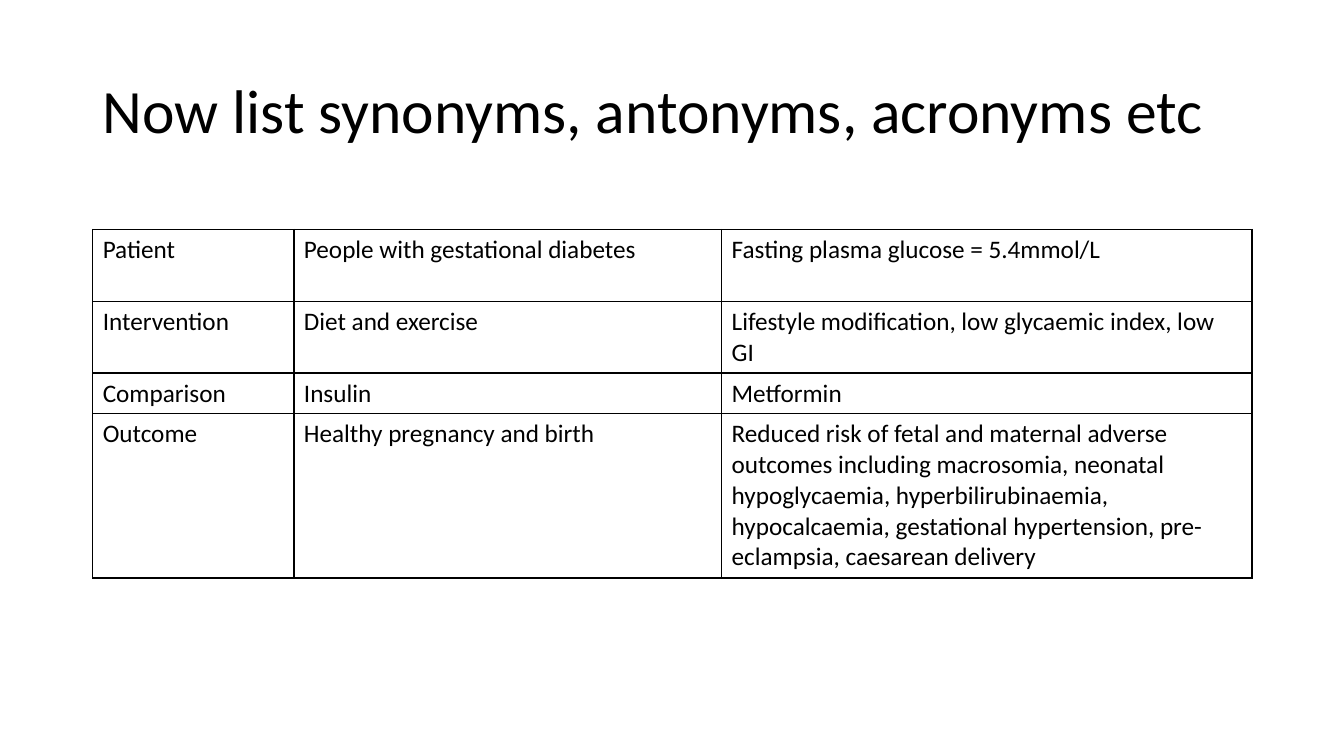
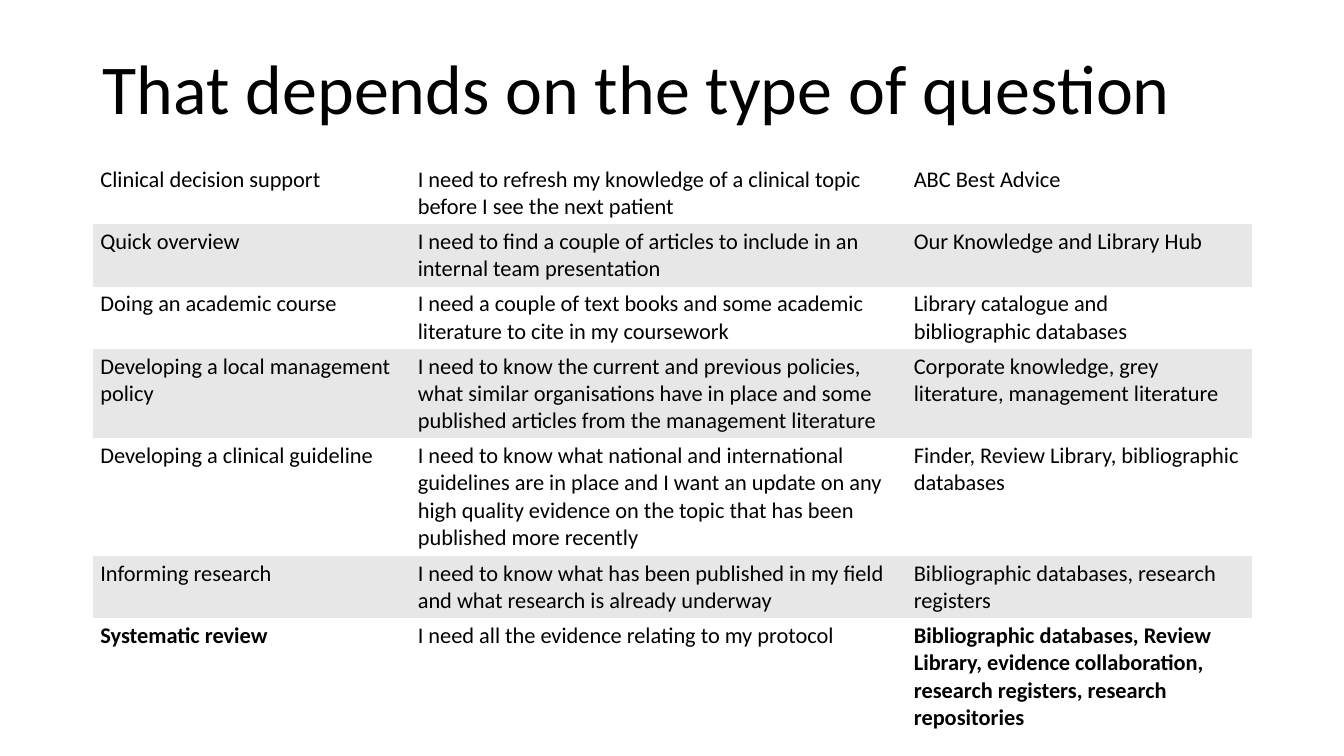
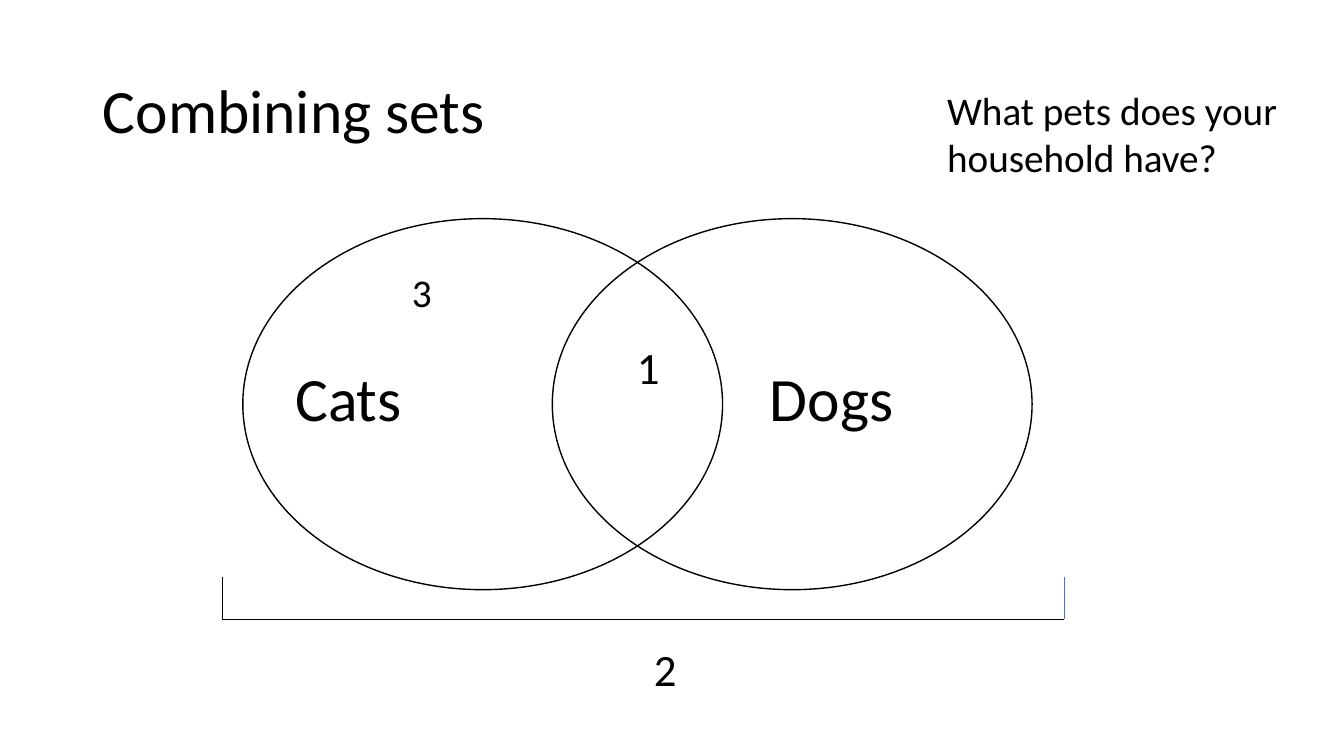
"""Build three slides on search terms, sources and combining sets."""
import collections

import lxml.etree
import pptx
import pptx.dml.color
import pptx.enum.shapes
import pptx.enum.text
import pptx.oxml.ns
import pptx.util

Cm = pptx.util.Cm
Pt = pptx.util.Pt
RGB = pptx.dml.color.RGBColor.from_string
qn = pptx.oxml.ns.qn
ANCHOR = pptx.enum.text.MSO_ANCHOR
SHAPE = pptx.enum.shapes.MSO_SHAPE
STRAIGHT = pptx.enum.shapes.MSO_CONNECTOR.STRAIGHT

Theme = collections.namedtuple(
    "Theme", "font ink band accent title big_title label number note term source")
theme = Theme(font="Calibri", ink="000000", band="E7E7E7", accent="4472C4",
              title=44, big_title=50, label=44, number=32, note=28, term=18, source=16)
LEFT, WIDTH = 2.34, 29.21
NO_STYLE = "{2D5ABB26-0587-4C30-8999-92F81FD0307C}"


def write(frame, text, size, bold=False, spacing=None):
    """Fill a text frame, one paragraph per line of text."""
    for index, line in enumerate(text.split("\n")):
        para = frame.add_paragraph() if index else frame.paragraphs[0]
        para.line_spacing = spacing
        span = para.add_run()
        span.text = line
        span.font.name = theme.font
        span.font.size = Pt(size)
        span.font.bold = bold
        span.font.color.rgb = RGB(theme.ink)


def add_borders(cell):
    """Draw a thin line on all four sides of a table cell."""
    properties = cell._tc.get_or_add_tcPr()
    for side in ("a:lnL", "a:lnR", "a:lnT", "a:lnB"):
        line = lxml.etree.SubElement(properties, qn(side), w=str(Pt(1)))
        fill = lxml.etree.SubElement(line, qn("a:solidFill"))
        lxml.etree.SubElement(fill, qn("a:srgbClr"), val=theme.ink)


deck = pptx.Presentation()
deck.slide_width, deck.slide_height = Cm(33.87), Cm(19.05)

titles = [
    ("Now list synonyms, antonyms, acronyms etc", theme.title, 1.02, 3.68, ANCHOR.MIDDLE),
    ("That depends on the type of question", theme.big_title, 0.81, 2.59, ANCHOR.BOTTOM),
    ("Combining sets", theme.title, 1.02, 3.68, ANCHOR.MIDDLE),
]
pages = []
for text, size, top, height, anchor in titles:
    page = deck.slides.add_slide(deck.slide_layouts[6])
    box = page.shapes.add_textbox(Cm(LEFT), Cm(top), Cm(WIDTH), Cm(height))
    box.text_frame.word_wrap = True
    box.text_frame.vertical_anchor = anchor
    write(box.text_frame, text, size, spacing=0.9)
    pages.append(page)
terms_page, sources_page, sets_page = pages

terms = [
    ("Patient", "People with gestational diabetes", "Fasting plasma glucose = 5.4mmol/L"),
    ("Intervention", "Diet and exercise",
     "Lifestyle modification, low glycaemic index, low GI"),
    ("Comparison", "Insulin", "Metformin"),
    ("Outcome", "Healthy pregnancy and birth",
     "Reduced risk of fetal and maternal adverse outcomes including macrosomia, "
     "neonatal hypoglycaemia, hyperbilirubinaemia, hypocalcaemia, gestational "
     "hypertension, pre-eclampsia, caesarean delivery"),
]
sources = [
    ("Clinical decision support",
     "I need to refresh my knowledge of a clinical topic before I see the next patient",
     "ABC Best Advice"),
    ("Quick overview",
     "I need to find a couple of articles to include in an internal team presentation",
     "Our Knowledge and Library Hub"),
    ("Doing an academic course",
     "I need a couple of text books and some academic literature to cite in my coursework",
     "Library catalogue and\nbibliographic databases"),
    ("Developing a local management policy",
     "I need to know the current and previous policies, what similar organisations have "
     "in place and some published articles from the management literature",
     "Corporate knowledge, grey literature, management literature"),
    ("Developing a clinical guideline",
     "I need to know what national and international guidelines are in place and I want "
     "an update on any high quality evidence on the topic that has been published more "
     "recently",
     "Finder, Review Library, bibliographic databases"),
    ("Informing research",
     "I need to know what has been published in my field and what research is already "
     "underway",
     "Bibliographic databases, research registers"),
    ("Systematic review", "I need all the evidence relating to my protocol",
     "Bibliographic databases, Review Library, evidence collaboration, research "
     "registers, research repositories"),
]
bold_texts = {sources[-1][0], sources[-1][2]}

tables = [
    (terms_page, terms, 5.78, (5.07, 10.78, 13.36), (1.81, 1.81, 1.02, 4.14),
     theme.term, 0.25, 0.13, True),
    (sources_page, sources, 4.08, (8, 12.5, 8.71),
     (1.57, 1.57, 1.57, 2.25, 2.97, 1.57, 2.97), theme.source, 0.19, 0.1, False),
]
for page, rows, top, widths, heights, size, side_margin, end_margin, ruled in tables:
    table = page.shapes.add_table(len(rows), len(widths), Cm(LEFT), Cm(top),
                                  Cm(WIDTH), Cm(sum(heights))).table
    table.first_row = table.horz_banding = False
    table._tbl.tblPr.find(qn("a:tableStyleId")).text = NO_STYLE
    for column, width in zip(table.columns, widths):
        column.width = Cm(width)
    for row_index, (texts, height) in enumerate(zip(rows, heights)):
        table.rows[row_index].height = Cm(height)
        for cell, text in zip(table.rows[row_index].cells, texts):
            cell.margin_left = cell.margin_right = Cm(side_margin)
            cell.margin_top = cell.margin_bottom = Cm(end_margin)
            if ruled:
                add_borders(cell)
            if row_index % 2 and not ruled:
                cell.fill.solid()
                cell.fill.fore_color.rgb = RGB(theme.band)
            else:
                cell.fill.background()
            write(cell.text_frame, text, size, bold=text in bold_texts)

for left in (13.92, 6.12):
    circle = sets_page.shapes.add_shape(SHAPE.OVAL, Cm(left), Cm(5.51), Cm(12.09), Cm(9.35))
    circle.shadow.inherit = False
    circle.fill.background()
    circle.line.color.rgb = RGB(theme.ink)
    circle.line.width = Pt(1)

labels = [
    ("Cats", theme.label, 7.19, 8.94, 5.92, 2.13, True),
    ("Dogs", theme.label, 19.15, 8.94, 5.92, 2.13, True),
    ("3", theme.note, 10.13, 6.63, 1.7, 1.45, True),
    ("1", theme.number, 15.8, 8.43, 1.09, 1.63, False),
    ("2", theme.number, 16.23, 16.05, 1.09, 1.63, False),
    ("What pets does your household have?", theme.note, 23.62, 2.06, 9.19, 2.64, True),
]
for text, size, left, top, width, height, wrap in labels:
    box = sets_page.shapes.add_textbox(Cm(left), Cm(top), Cm(width), Cm(height))
    box.text_frame.word_wrap = wrap
    write(box.text_frame, text, size)

bracket_left, bracket_right, bracket_top, bracket_base = 5.6, 26.82, 14.55, 15.6
bracket = [
    (bracket_left, bracket_base, bracket_right, bracket_base, theme.ink),
    (bracket_left, bracket_top, bracket_left, bracket_base, theme.ink),
    (bracket_right, bracket_base, bracket_right, bracket_top, theme.accent),
]
for start_x, start_y, end_x, end_y, colour in bracket:
    line = sets_page.shapes.add_connector(STRAIGHT, Cm(start_x), Cm(start_y),
                                          Cm(end_x), Cm(end_y))
    line.line.color.rgb = RGB(colour)
    line.line.width = Pt(0.5)
    lxml.etree.SubElement(line._element.spPr, qn("a:effectLst"))

deck.save("out.pptx")
